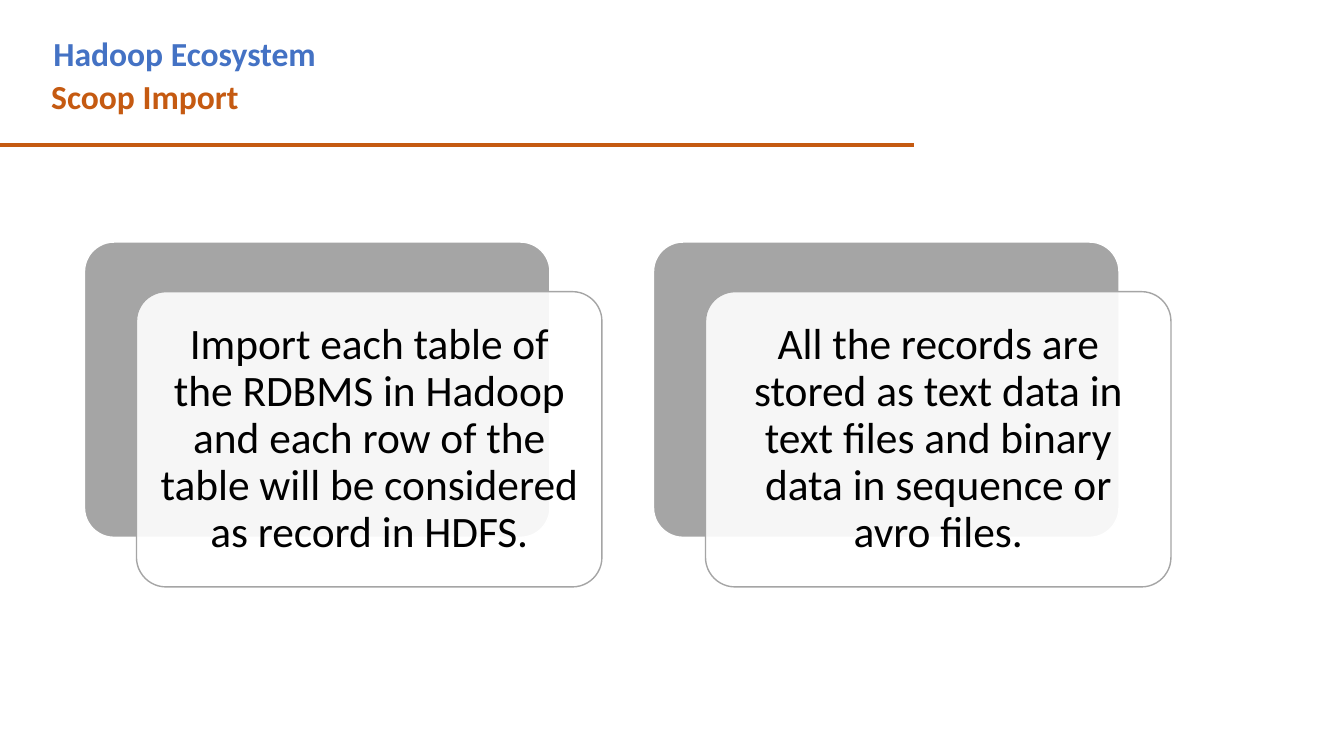
from lxml import etree
from pptx import Presentation
from pptx.dml.color import RGBColor
from pptx.enum.shapes import MSO_CONNECTOR, MSO_SHAPE
from pptx.enum.text import MSO_ANCHOR, MSO_AUTO_SIZE, PP_ALIGN
from pptx.oxml.ns import qn
from pptx.util import Cm, Pt

ROUND = MSO_SHAPE.ROUNDED_RECTANGLE
STRAIGHT = MSO_CONNECTOR.STRAIGHT
TOP, MIDDLE = MSO_ANCHOR.TOP, MSO_ANCHOR.MIDDLE
LEFT, CENTER = PP_ALIGN.LEFT, PP_ALIGN.CENTER
FIXED = MSO_AUTO_SIZE.NONE

COLORS = {"blue": "4472C4", "rust": "C55A11", "gray": "A5A5A5",
          "white": "FFFFFF", "black": "000000"}
COLORS = {name: RGBColor.from_string(code) for name, code in COLORS.items()}


def write(shape, text, size, color, bold, align, anchor):
    frame = shape.text_frame
    frame.text = text
    frame.word_wrap = True
    frame.auto_size = FIXED
    frame.vertical_anchor = anchor
    para = frame.paragraphs[0]
    para.alignment = align
    font = para.runs[0].font
    font.name = "Calibri"
    font.size = Pt(size)
    font.bold = bold
    font.color.rgb = COLORS[color]


def add_card(left, top, fill, line):
    card = slide.shapes.add_shape(ROUND, Cm(left), Cm(top), Cm(11.73), Cm(7.44))
    card.adjustments[0] = 0.1
    card.shadow.inherit = False
    card.fill.solid()
    card.fill.fore_color.rgb = COLORS[fill]
    card.line.color.rgb = COLORS[line]
    card.line.width = Pt(1)
    return card


deck = Presentation()
deck.slide_width, deck.slide_height = Cm(33.87), Cm(19.05)
slide = deck.slides.add_slide(deck.slide_layouts[5])

title = slide.shapes.title
title.left, title.top, title.width, title.height = Cm(1.09), Cm(0.71), Cm(20.83), Cm(1.27)
write(title, "Hadoop Ecosystem", 24, "blue", True, LEFT, TOP)

topic = slide.shapes.add_textbox(Cm(1.04), Cm(1.8), Cm(22.23), Cm(1.27))
write(topic, "Scoop Import", 24, "rust", True, LEFT, TOP)

rule = slide.shapes.add_connector(STRAIGHT, Cm(0), Cm(3.66), Cm(23.04), Cm(3.66))
rule.line.color.rgb = COLORS["rust"]
rule.line.width = Pt(3)
etree.SubElement(rule._element.spPr, qn("a:effectLst"))

NOTES = [
    "Import each table of the RDBMS in Hadoop and each row of the table "
    "will be considered as record in HDFS.",
    "All the records are stored as text data in text files and binary data "
    "in sequence or avro files.",
]
for col, note in enumerate(NOTES):
    left = 2.13 + col * 14.34
    add_card(left, 6.1, "gray", "white")
    front = add_card(left + 1.31, 7.35, "white", "gray")
    tint = front._element.spPr.find(qn("a:solidFill"))[0]
    etree.SubElement(tint, qn("a:alpha"), val="90000")
    write(front, note, 31, "black", False, CENTER, MIDDLE)
    frame = front.text_frame
    frame.margin_left = frame.margin_right = Cm(0.33)
    frame.margin_top = frame.margin_bottom = Cm(0.33)
    frame.paragraphs[0].line_spacing = 0.9

deck.save("out.pptx")
